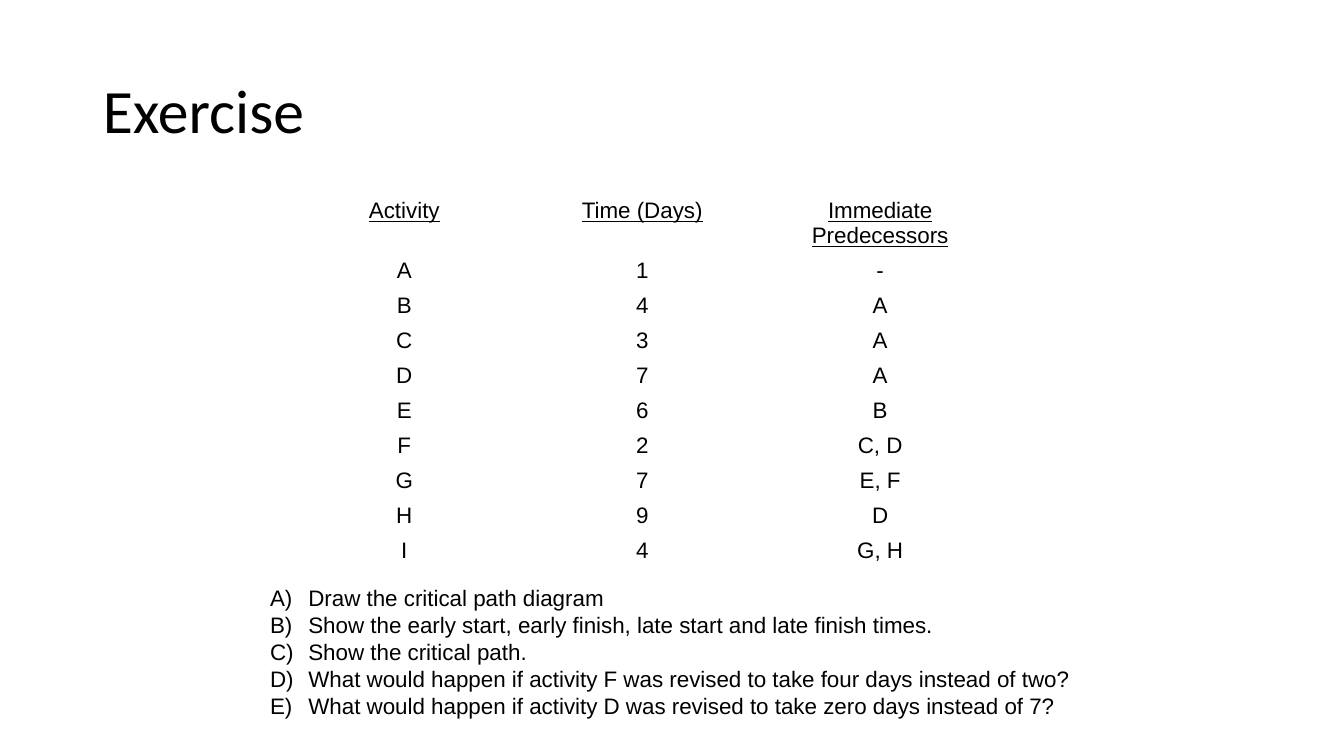
import pptx
import pptx.dml.color
import pptx.enum.text
import pptx.oxml
import pptx.oxml.ns
import pptx.util
from pptx.util import Inches

BLACK = pptx.dml.color.RGBColor(0, 0, 0)
ALIGN = pptx.enum.text.PP_ALIGN
ANCHOR = pptx.enum.text.MSO_ANCHOR

ACTIVITIES = [
    ("Activity", "Time (Days)", "Immediate Predecessors"),
    ("A", "1", "-"),
    ("B", "4", "A"),
    ("C", "3", "A"),
    ("D", "7", "A"),
    ("E", "6", "B"),
    ("F", "2", "C, D"),
    ("G", "7", "E, F"),
    ("H", "9", "D"),
    ("I", "4", "G, H"),
]
QUESTIONS = [
    "Draw the critical path diagram",
    "Show the early start, early finish, late start and late finish times.",
    "Show the critical path.",
    "What would happen if activity F was revised to take four days instead of two?",
    "What would happen if activity D was revised to take zero days instead of 7?",
]


def format_runs(para, font_name, size, underline=False):
    for span in para.runs:
        span.font.name = font_name
        span.font.size = pptx.util.Pt(size)
        span.font.color.rgb = BLACK
        span.font.underline = underline


def number_with_letters(para, indent):
    """Give the paragraph an automatic A), B), C) number with a hanging indent."""
    properties = para._p.get_or_add_pPr()
    properties.set("marL", str(indent))
    properties.set("indent", str(-indent))
    properties.append(pptx.oxml.parse_xml(
        f'<a:buAutoNum {pptx.oxml.ns.nsdecls("a")} type="alphaUcParenR"/>'))


def place_title(page, left, top, width, height):
    title = page.shapes.title
    title.left, title.top, title.width, title.height = left, top, width, height
    title.text_frame.text = "Exercise"
    title.text_frame.vertical_anchor = ANCHOR.MIDDLE
    para = title.text_frame.paragraphs[0]
    para.alignment = ALIGN.LEFT
    para.line_spacing = 0.9
    format_runs(para, "Calibri", 44)


def add_activity_table(page, left, top, width, row_height):
    row_count, column_count = len(ACTIVITIES), len(ACTIVITIES[0])
    table = page.shapes.add_table(row_count, column_count, left, top, width,
                                  row_height * row_count).table
    table.first_row = True
    table.horz_banding = False
    for row_index, values in enumerate(ACTIVITIES):
        for column_index, value in enumerate(values):
            cell = table.cell(row_index, column_index)
            cell.fill.background()
            cell.text_frame.text = value
            para = cell.text_frame.paragraphs[0]
            para.alignment = ALIGN.CENTER
            format_runs(para, "Arial", 16, underline=row_index == 0)
            para.runs[0].font.bold = False


def add_questions(page, left, top, width, height):
    box = page.shapes.add_textbox(left, top, width, height)
    frame = box.text_frame
    frame.word_wrap = True
    frame.auto_size = pptx.enum.text.MSO_AUTO_SIZE.SHAPE_TO_FIT_TEXT
    frame.text = "\n".join(QUESTIONS)
    for para in frame.paragraphs:
        number_with_letters(para, Inches(0.38))
        format_runs(para, "Arial", 16)


def build_exercise_page(deck):
    page = deck.slides.add_slide(deck.slide_layouts[5])
    place_title(page, Inches(0.92), Inches(0.4), Inches(11.5), Inches(1.45))
    add_activity_table(page, Inches(2.83), Inches(1.92), Inches(7.08), Inches(0.32))
    add_questions(page, Inches(2.58), Inches(5.75), Inches(8.25), Inches(1.45))


def main():
    deck = pptx.Presentation()
    deck.slide_width, deck.slide_height = Inches(13.33), Inches(7.5)
    build_exercise_page(deck)
    deck.save("out.pptx")


if __name__ == "__main__":
    main()
